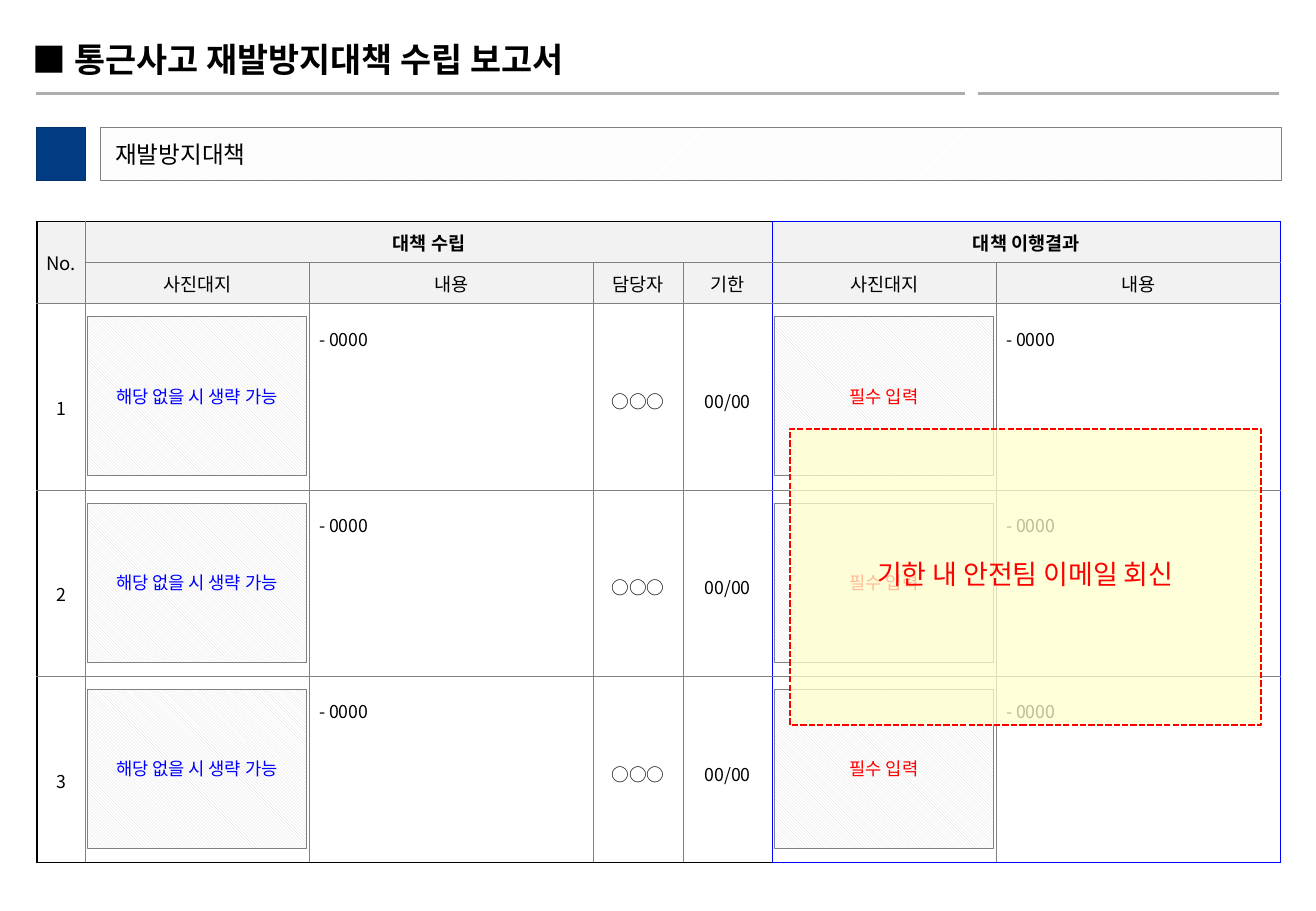
import pptx
import pptx.dml.color
import pptx.enum.dml
import pptx.enum.shapes
import pptx.enum.text
import pptx.oxml.ns
import pptx.util
from lxml import etree

Pt = pptx.util.Pt
RGB = pptx.dml.color.RGBColor
Align = pptx.enum.text.PP_ALIGN
Anchor = pptx.enum.text.MSO_ANCHOR
Hatch = pptx.enum.dml.MSO_PATTERN
qn = pptx.oxml.ns.qn

FONT = "Noto Sans CJK KR"
BLACK = RGB(0, 0, 0)
WHITE = RGB(255, 255, 255)
GRAY = RGB(128, 128, 128)
RULE = RGB(0xAE, 0xAE, 0xAE)
PALE = RGB(0xF2, 0xF2, 0xF2)
MESH = RGB(0xD9, 0xD9, 0xD9)
NAVY = RGB(0, 0x3B, 0x83)
EDGE = RGB(0, 0x31, 0x6C)
BLUE = RGB(0, 0, 255)
RED = RGB(255, 0, 0)
CREAM = RGB(255, 255, 0xCC)

TITLE = "■ 통근사고 재발방지대책 수립 보고서"
TOPIC = "재발방지대책"
NOTICE = "기한 내 안전팀 이메일 회신"
HEADS = [
    ["No.", "대책 수립", "", "", "", "대책 이행결과", ""],
    ["", "사진대지", "내용", "담당자", "기한", "사진대지", "내용"],
]
ITEMS = [[str(no), "", "- 0000", "○○○", "00/00", "", "- 0000"] for no in (1, 2, 3)]
MERGES = [((0, 0), (1, 0)), ((0, 1), (0, 4)), ((0, 5), (0, 6))]
PHOTOS = [(1, "해당 없을 시 생략 가능", BLUE), (5, "필수 입력", RED)]
RULES = [(21.6, 571.8), (579.6, 758.3)]

LEFT, TOP = 21.9, 131.3
WIDTHS = [28.8, 132.7, 168.3, 53.1, 53.1, 132.7, 168.3]
HEAD, ROW = 24.3, 110.5
SPLIT = 5


def write(frame, text, size, color, bold=False, align=Align.CENTER, inset=(0, 0, 0, 0)):
    frame.margin_left, frame.margin_top, frame.margin_right, frame.margin_bottom = map(Pt, inset)
    frame.word_wrap = True
    frame.vertical_anchor = Anchor.MIDDLE
    para = frame.paragraphs[0]
    para.text = text
    para.alignment = align
    font = para.font
    font.name, font.size, font.bold = FONT, Pt(size), bold
    font.color.rgb = color
    props = para._p.pPr.find(qn("a:defRPr"))
    etree.SubElement(props, qn("a:ea"), typeface=FONT)
    return para


def box(x, y, w, h, fill, line, width, hatch=None):
    kind = pptx.enum.shapes.MSO_SHAPE.RECTANGLE
    shape = slide.shapes.add_shape(kind, Pt(x), Pt(y), Pt(w), Pt(h))
    shape.shadow.inherit = False
    if hatch:
        shape.fill.patterned()
        shape.fill.pattern = hatch
        shape.fill.fore_color.rgb = fill
        shape.fill.back_color.rgb = WHITE
    else:
        shape.fill.solid()
        shape.fill.fore_color.rgb = fill
    shape.line.color.rgb = line
    shape.line.width = Pt(width)
    return shape


def border(cell, side, color, width):
    props = cell._tc.get_or_add_tcPr()
    line = etree.SubElement(props, qn("a:ln" + side), w=str(Pt(width)))
    fill = etree.SubElement(line, qn("a:solidFill"))
    etree.SubElement(fill, qn("a:srgbClr"), val=str(color))


def frame_cell(cell, row, col):
    last = col + (cell.span_width if cell.is_merge_origin else 1) - 1
    foot = row + (cell.span_height if cell.is_merge_origin else 1) - 1
    outer = BLUE if col >= SPLIT else BLACK
    marks = {
        "L": {0: BLACK, SPLIT: BLUE}.get(col),
        "R": BLUE if last in (SPLIT - 1, len(WIDTHS) - 1) else None,
        "T": outer if row == 0 else None,
        "B": outer if foot == len(rows) - 1 else None,
    }
    for side, color in marks.items():
        border(cell, side, color or GRAY, 1 if color else 0.5)


def fill_cell(cell, row, col, text):
    head = row < len(HEADS)
    if head:
        cell.fill.solid()
        cell.fill.fore_color.rgb = PALE
    else:
        cell.fill.background()
    note = not head and text.startswith("-")
    inset = (5.8 if note else 0, 8.6 if not head and (note or col == 0) else 0, 0, 0)
    bold = row == 0 and col > 0
    if text:
        align = Align.LEFT if note else Align.CENTER
        para = write(cell.text_frame, text, 11 if head else 10.5, BLACK, bold, align)
        if not head:
            para.line_spacing = 1.3
            para.space_after = Pt(6)
    cell.margin_left, cell.margin_top, cell.margin_right, cell.margin_bottom = map(Pt, inset)
    cell.vertical_anchor = Anchor.TOP if note else Anchor.MIDDLE


deck = pptx.Presentation()
deck.slide_width, deck.slide_height = Pt(780), Pt(540)
slide = deck.slides.add_slide(deck.slide_layouts[5])

title = slide.shapes.title
title.left, title.top, title.width, title.height = Pt(12.2), Pt(19.4), Pt(717), Pt(31.7)
write(title.text_frame, TITLE, 20, BLACK, True, Align.LEFT, (7.2, 3.6, 7.2, 3.6))
title.text_frame.vertical_anchor = Anchor.TOP
title.text_frame.auto_size = pptx.enum.text.MSO_AUTO_SIZE.NONE

for start, end in RULES:
    straight = pptx.enum.shapes.MSO_CONNECTOR.STRAIGHT
    rule = slide.shapes.add_connector(straight, Pt(start), Pt(55.4), Pt(end), Pt(55.4))
    rule.line.color.rgb = RULE
    rule.line.width = Pt(2)
    etree.SubElement(rule._element.spPr, qn("a:effectLst"))

box(21.6, 75.5, 29, 31.7, NAVY, EDGE, 0.5)
topic = box(59.6, 75.5, 699.8, 31.7, PALE, GRAY, 0.5, Hatch.LIGHT_UPWARD_DIAGONAL)
write(topic.text_frame, TOPIC, 14, BLACK, align=Align.LEFT, inset=(8.6, 0, 0, 0))

rows = HEADS + ITEMS
tall = [HEAD] * len(HEADS) + [ROW] * len(ITEMS)
table = slide.shapes.add_table(
    len(rows), len(WIDTHS), Pt(LEFT), Pt(TOP), Pt(sum(WIDTHS)), Pt(sum(tall))
).table
table.first_row = table.horz_banding = False
for col, width in enumerate(WIDTHS):
    table.columns[col].width = Pt(width)
for row, height in enumerate(tall):
    table.rows[row].height = Pt(height)
for first, final in MERGES:
    table.cell(*first).merge(table.cell(*final))
for row, texts in enumerate(rows):
    for col, text in enumerate(texts):
        cell = table.cell(row, col)
        frame_cell(cell, row, col)
        fill_cell(cell, row, col, text)

for col, text, color in PHOTOS:
    x = LEFT + sum(WIDTHS[:col]) + 1.1
    for row in range(len(ITEMS)):
        y = TOP + HEAD * len(HEADS) + ROW * row + 7.7
        photo = box(x, y, 129.8, 94.2, MESH, GRAY, 0.25, Hatch.LIGHT_DOWNWARD_DIAGONAL)
        write(photo.text_frame, text, 10.5, color)

notice = box(468.2, 254.2, 279.2, 175.4, CREAM, RED, 1.25)
notice.line.dash_style = pptx.enum.dml.MSO_LINE.SQUARE_DOT
tint = notice._element.spPr.find(qn("a:solidFill")).find(qn("a:srgbClr"))
etree.SubElement(tint, qn("a:alpha"), val="74000")
para = write(notice.text_frame, NOTICE, 16, RED, inset=(6.5, 3.6, 6.5, 3.6))
para.line_spacing = 0.8
notice.text_frame.word_wrap = False

deck.save("out.pptx")
